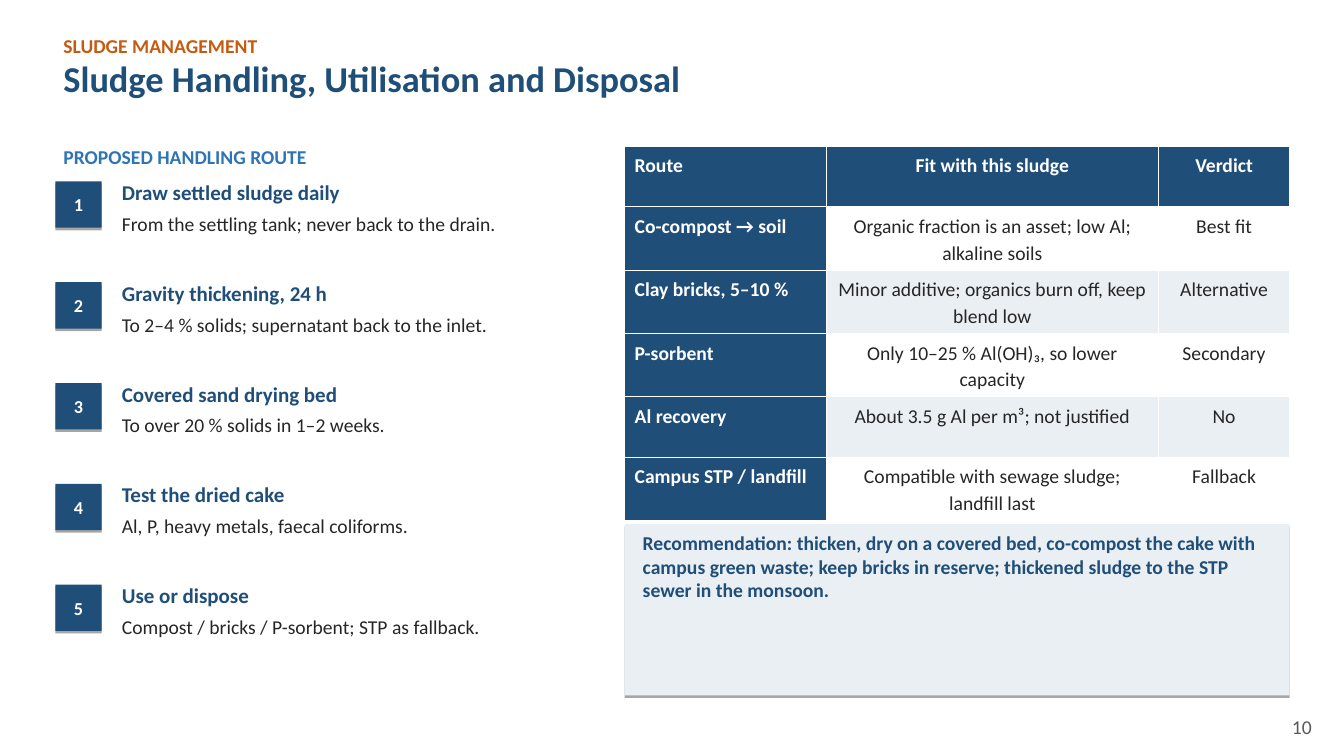
from lxml import etree
from pptx import Presentation
from pptx.dml.color import RGBColor
from pptx.enum import shapes, text
from pptx.oxml import ns, parse_xml
from pptx.util import Pt

NAVY = RGBColor(0x1F, 0x4E, 0x79)
BLUE = RGBColor(0x2E, 0x75, 0xB6)
ORANGE = RGBColor(0xC5, 0x5A, 0x11)
INK = RGBColor(0x26, 0x26, 0x26)
GREY = RGBColor(0x59, 0x59, 0x59)
PALE = RGBColor(0xEA, 0xEF, 0xF4)
WHITE = RGBColor(0xFF, 0xFF, 0xFF)

LEFT, CENTER, RIGHT = text.PP_ALIGN.LEFT, text.PP_ALIGN.CENTER, text.PP_ALIGN.RIGHT

STEPS = [
    ("Draw settled sludge daily", "From the settling tank; never back to the drain."),
    ("Gravity thickening, 24 h", "To 2–4 % solids; supernatant back to the inlet."),
    ("Covered sand drying bed", "To over 20 % solids in 1–2 weeks."),
    ("Test the dried cake", "Al, P, heavy metals, faecal coliforms."),
    ("Use or dispose", "Compost / bricks / P-sorbent; STP as fallback."),
]
ROUTES = [
    ("Route", "Fit with this sludge", "Verdict"),
    ("Co-compost → soil", "Organic fraction is an asset; low Al; alkaline soils", "Best fit"),
    ("Clay bricks, 5–10 %", "Minor additive; organics burn off, keep blend low", "Alternative"),
    ("P-sorbent", "Only 10–25 % Al(OH)₃, so lower capacity", "Secondary"),
    ("Al recovery", "About 3.5 g Al per m³; not justified", "No"),
    ("Campus STP / landfill", "Compatible with sewage sludge; landfill last", "Fallback"),
]
RECOMMENDATION = (
    "Recommendation: thicken, dry on a covered bed, co-compost the cake with "
    "campus green waste; keep bricks in reserve; thickened sludge to the STP "
    "sewer in the monsoon."
)


class SlideBuilder:
    font = "Calibri"
    size = 14

    def __init__(self, s):
        self.s = s

    def paragraph(self, tf, words, color, size=size, bold=False, align=LEFT):
        p = tf.paragraphs[0]
        p.text = words
        p.alignment = align
        p.font.name = self.font
        p.font.size = Pt(size)
        p.font.bold = bold
        p.font.color.rgb = color
        return p

    def label(self, x, y, w, h, words, color, **style):
        sp = self.s.shapes.add_textbox(Pt(x), Pt(y), Pt(w), Pt(h))
        tf = sp.text_frame
        tf.word_wrap = True
        tf.auto_size = text.MSO_AUTO_SIZE.SHAPE_TO_FIT_TEXT
        tf.margin_left = tf.margin_right = Pt(5.76)
        tf.margin_top = tf.margin_bottom = Pt(2.88)
        self.paragraph(tf, words, color, **style)

    def panel(self, x, y, w, h, fill):
        sp = self.s.shapes.add_shape(shapes.MSO_SHAPE.RECTANGLE, Pt(x), Pt(y), Pt(w), Pt(h))
        sp.fill.solid()
        sp.fill.fore_color.rgb = fill
        sp.line.fill.background()
        sp.shadow.inherit = False
        effects = sp._element.spPr.find(ns.qn("a:effectLst"))
        effects.append(parse_xml(
            f'<a:outerShdw {ns.nsdecls("a")} blurRad="0" dist="{Pt(1.8)}" dir="5400000" '
            'rotWithShape="0"><a:srgbClr val="000000"><a:alpha val="35000"/></a:srgbClr>'
            '</a:outerShdw>'))
        return sp

    def badge(self, x, y, side, words):
        tf = self.panel(x, y, side, side, NAVY).text_frame
        tf.vertical_anchor = text.MSO_ANCHOR.MIDDLE
        self.paragraph(tf, words, WHITE, size=13, bold=True, align=CENTER)

    def borders(self, cell, color, width):
        tcPr = cell._tc.get_or_add_tcPr()
        for i, side in enumerate(("lnL", "lnR", "lnT", "lnB")):
            ln = etree.Element(ns.qn(f"a:{side}"), w=str(Pt(width)))
            fill = etree.SubElement(ln, ns.qn("a:solidFill"))
            etree.SubElement(fill, ns.qn("a:srgbClr"), val=str(color))
            tcPr.insert(i, ln)

    def table(self, x, y, widths, row_height, rows):
        table = self.s.shapes.add_table(
            len(rows), len(widths), Pt(x), Pt(y),
            Pt(sum(widths)), Pt(row_height * len(rows))).table
        for column, width in zip(table.columns, widths):
            column.width = Pt(width)
        for r, row in enumerate(rows):
            table.rows[r].height = Pt(row_height)
            for c, words in enumerate(row):
                cell = table.cell(r, c)
                heading = r == 0 or c == 0
                cell.fill.solid()
                cell.fill.fore_color.rgb = NAVY if heading else WHITE if r % 2 else PALE
                p = self.paragraph(cell.text_frame, words, WHITE if heading else INK,
                                   bold=heading, align=CENTER if c else LEFT)
                p.line_spacing = 1.13
                self.borders(cell, WHITE, 0.45)


def main():
    prs = Presentation()
    prs.slide_width, prs.slide_height = Pt(960.48), Pt(540)
    b = SlideBuilder(prs.slides.add_slide(prs.slide_layouts[6]))

    b.label(39.6, 21.6, 648, 22.32, "SLUDGE MANAGEMENT", ORANGE, bold=True)
    b.label(39.6, 37.44, 828, 36.72, "Sludge Handling, Utilisation and Disposal",
            NAVY, size=26, bold=True)
    b.label(39.6, 100.8, 360, 22.32, "PROPOSED HANDLING ROUTE", BLUE, bold=True)

    for i, (heading, detail) in enumerate(STEPS):
        top = 129.6 + 72 * i
        b.badge(39.6, top, 33.12, str(i + 1))
        b.label(81.36, top - 4.32, 347, 23.76, heading, NAVY, size=15, bold=True)
        b.label(81.36, top + 18.72, 347, 22.32, detail, INK)

    b.table(446.4, 104.4, (144, 237.6, 93.6), 43.2, ROUTES)
    b.panel(446.4, 374.4, 475.2, 122.4, PALE)
    b.label(453.6, 376.56, 460.8, 56.16, RECOMMENDATION, NAVY, bold=True)
    b.label(900, 507.6, 43.2, 22.32, "10", GREY, align=RIGHT)

    prs.save("out.pptx")


if __name__ == "__main__":
    main()
